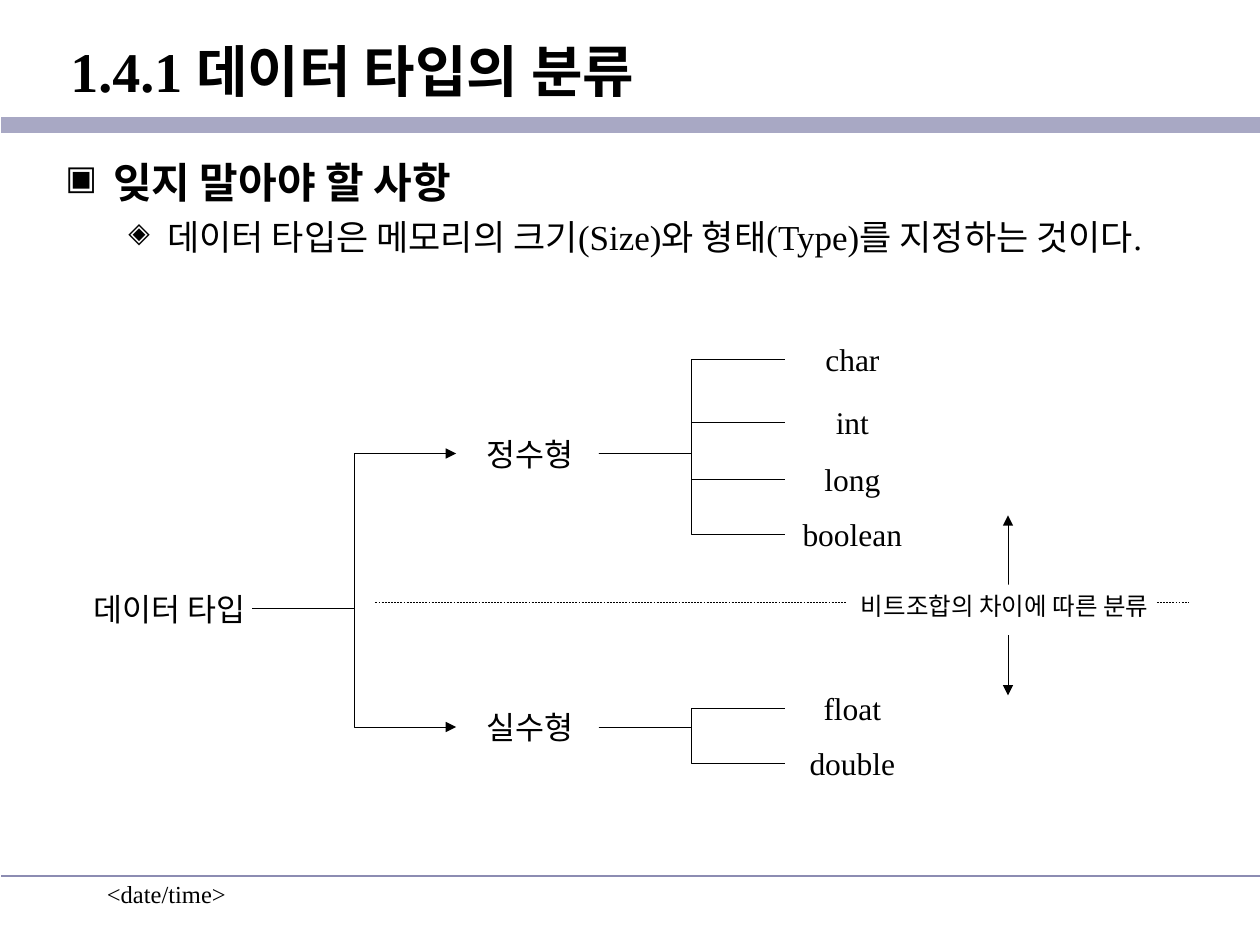
"""Build a slide that classifies data types as a tree of integer and real types."""
from lxml import etree
from pptx import Presentation
from pptx import util as u
from pptx.dml.color import RGBColor
from pptx.enum import dml, shapes, text
from pptx.oxml import ns

deck = Presentation()
deck.slide_width, deck.slide_height = u.Inches(10), u.Inches(7.5)
page = deck.slides.add_slide(deck.slide_layouts[6])
CELL = deck.slide_width / 100
color = RGBColor.from_string
LEFT, CENTER = text.PP_ALIGN.LEFT, text.PP_ALIGN.CENTER


def add_label(lines, column, row, columns, rows=4, size=18, bold=False, align=CENTER):
    box = page.shapes.add_textbox(*(round(n * CELL) for n in (column, row, columns, rows)))
    frame = box.text_frame
    frame.word_wrap = align == LEFT
    if align == CENTER:
        frame.margin_left, frame.margin_right = u.Inches(0.05), 0
    frame.text = lines
    for para in frame.paragraphs:
        para.alignment = align
        font = para.font
        font.name, font.size, font.bold = "Times New Roman", u.Pt(size), bold
        font.color.rgb = color("000000")
    return box


def add_line(start=(0, 0), end=(0, 0), joins=None, hue="000000", width=0.25, dash=None, arrows=()):
    kind = shapes.MSO_CONNECTOR.ELBOW if joins else shapes.MSO_CONNECTOR.STRAIGHT
    line = page.shapes.add_connector(kind, *(round(n * CELL) for n in (*start, *end)))
    if joins:
        line.begin_connect(joins[0], 3)
        line.end_connect(joins[1], 1)
    line.line.color.rgb = color(hue)
    line.line.width = u.Pt(width)
    if dash:
        line.line.dash_style = dash
    for tag in arrows:
        etree.SubElement(line.line._get_or_add_ln(), ns.qn(tag), type="triangle")
    etree.SubElement(line._element.spPr, ns.qn("a:effectLst"))


add_label("<date/time>", 7.5, 69.3, 20.8, 5, size=14, align=LEFT)
add_line((0.1, 9.9), (100, 9.9), hue="A8A8C4", width=9.25)
add_line((0.1, 69.5), (100, 69.5), hue="8C8CB2", width=1)

title = add_label("1.4.1 데이터 타입의 분류", 4.6, 1.1, 95.4, 9, size=32, bold=True, align=LEFT)
title.text_frame.vertical_anchor = text.MSO_ANCHOR.MIDDLE

body = add_label("잊지 말아야 할 사항\n데이터 타입은 메모리의 크기(Size)와 형태(Type)를 지정하는 것이다.",
                 4.2, 11.9, 91.6, 57.1, size=24, bold=True, align=LEFT)
bullets = [("▣", 0.38, -0.38), ("◈", 0.81, -0.31)]
for para, (mark, margin, indent) in zip(body.text_frame.paragraphs, bullets):
    props = para._p.get_or_add_pPr()
    props.set("marL", str(u.Inches(margin)))
    props.set("indent", str(u.Inches(indent)))
    bullet_size = etree.Element(ns.qn("a:buSzPct"), val="80000")
    bullet = etree.Element(ns.qn("a:buChar"), char=mark)
    props.insert(0, bullet_size)
    props.insert(1, bullet)
detail = body.text_frame.paragraphs[1]
detail.level = 1
detail.space_before = u.Pt(5)
detail.font.size, detail.font.bold = u.Pt(20), False

root = add_label("데이터 타입", 6.4, 46.3, 13.6)
branches = [
    ("정수형", 34, [("char", 26.5), ("int", 31.5), ("long", 36), ("boolean", 40.4)]),
    ("실수형", 55.7, [("float", 54.2), ("double", 58.6)]),
]
for name, row, leaves in branches:
    branch = add_label(name, 36.2, row, 11.3)
    add_line(joins=(root, branch), arrows=["a:tailEnd"])
    for leaf_name, leaf_row in leaves:
        leaf = add_label(leaf_name, 62.3, leaf_row, 10.2)
        add_line(joins=(branch, leaf))

add_line((29.8, 47.8), (94.3, 47.8), dash=dml.MSO_LINE.DASH)
add_line((80, 55.2), (80, 40.9), arrows=["a:headEnd", "a:tailEnd"])
note = add_label("비트조합의 차이에 따른 분류", 67.2, 46.4, 24.6, size=14)
note.fill.solid()
note.fill.fore_color.rgb = color("FFFFFF")

deck.save("out.pptx")
